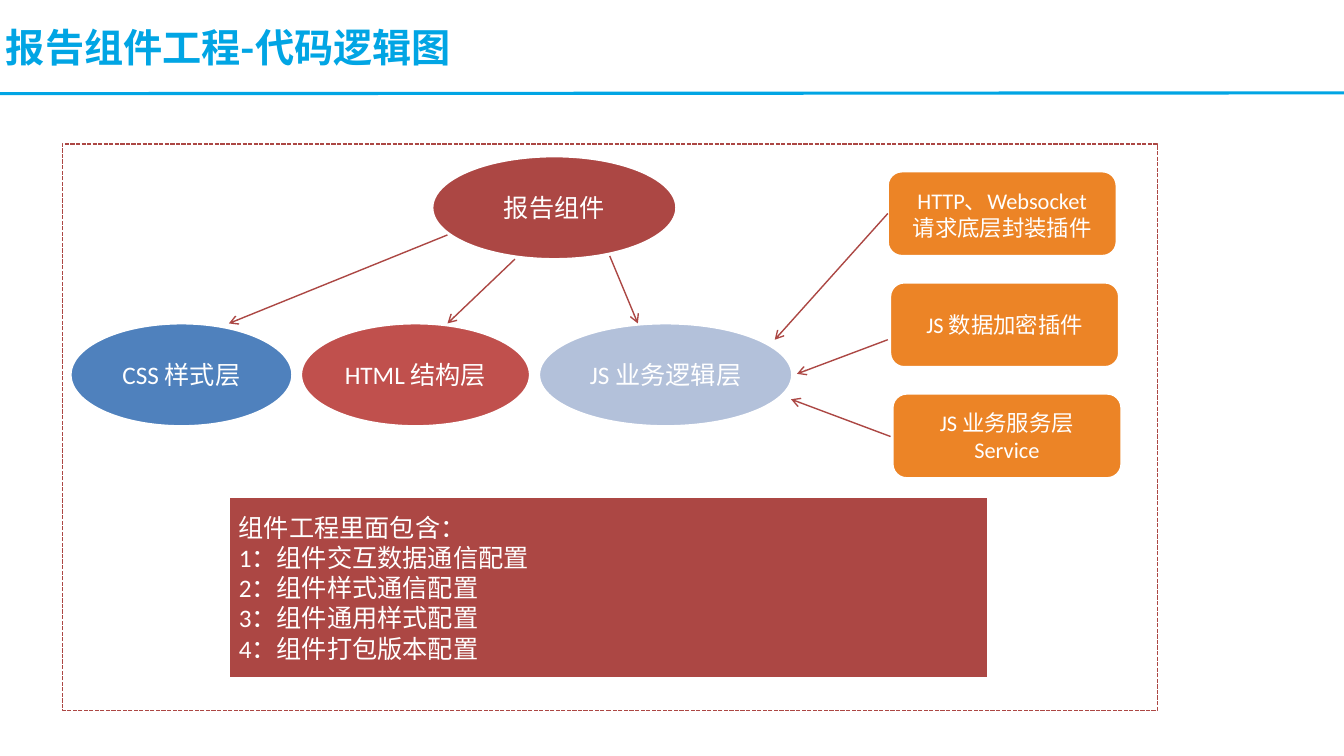
from pptx import Presentation, util as u
from pptx.dml.color import RGBColor
from pptx.enum import dml, shapes, text
from pptx.oxml.ns import qn
from lxml import etree

WHITE, BRICK, SKY, ORANGE = "FFFFFF", "AC4744", "01A5E4", "EC8426"
LATIN, HAN = "Calibri", "Noto Sans CJK SC"
OVAL = shapes.MSO_SHAPE.OVAL
RECT = shapes.MSO_SHAPE.RECTANGLE
ROUND = shapes.MSO_SHAPE.ROUNDED_RECTANGLE
LEFT, CENTER = text.PP_ALIGN.LEFT, text.PP_ALIGN.CENTER


def paint(fmt, color):
    fmt.solid()
    fmt.fore_color.rgb = RGBColor.from_string(color)


def stroke(line, color, width):
    paint(line.fill, color)
    line.width = u.Pt(width)


def place(shape, box):
    shape.left, shape.top, shape.width, shape.height = map(u.Cm, box)


def write(frame, lines, size, color=WHITE, align=CENTER, font=LATIN, bold=False):
    frame.word_wrap = True
    frame.auto_size = text.MSO_AUTO_SIZE.NONE
    frame.vertical_anchor = text.MSO_ANCHOR.MIDDLE
    for i, line in enumerate(lines):
        para = frame.add_paragraph() if i else frame.paragraphs[0]
        para.alignment = align
        run = para.add_run()
        run.text = line
        run.font.size = u.Pt(size)
        run.font.bold = bold
        run.font.name = font
        run.font.color.rgb = RGBColor.from_string(color)
        east = etree.SubElement(run._r.get_or_add_rPr(), qn("a:ea"))
        east.set("typeface", HAN)


def add_title(slide, words):
    title = slide.shapes.title
    place(title, (0.15, 0, 30.99, 2.36))
    frame = title.text_frame
    frame.margin_left = frame.margin_right = 0
    frame.margin_top = frame.margin_bottom = 0
    write(frame, [words], 28, SKY, LEFT, HAN, True)


def add_box(slide, kind, box, fill, edge=WHITE, width=1.5):
    shape = slide.shapes.add_shape(kind, *map(u.Cm, box))
    shape.shadow.inherit = False
    paint(shape.fill, fill)
    stroke(shape.line, edge, width)
    return shape


def add_node(slide, kind, box, fill, lines, size=18, align=CENTER):
    node = add_box(slide, kind, box, fill)
    write(node.text_frame, lines, size, align=align)


def add_line(slide, ends, color, width):
    link = slide.shapes.add_connector(
        shapes.MSO_CONNECTOR.STRAIGHT, *map(u.Cm, ends))
    stroke(link.line, color, width)
    etree.SubElement(link._element.spPr, qn("a:effectLst"))
    return link


def add_arrow(slide, ends):
    link = add_line(slide, ends, BRICK, 1)
    tip = etree.SubElement(link.line._get_or_add_ln(), qn("a:tailEnd"))
    tip.set("type", "arrow")


def main():
    deck = Presentation()
    deck.slide_width, deck.slide_height = u.Cm(33.88), u.Cm(19.05)
    slide = deck.slides.add_slide(deck.slide_layouts.get_by_name("Title Only"))

    add_line(slide, (-0.1, 2.36, 33.93, 2.34), SKY, 2.25)
    add_title(slide, "报告组件工程-代码逻辑图")
    border = add_box(slide, RECT, (1.57, 3.63, 27.61, 14.27), WHITE, BRICK, 1)
    border.line.dash_style = dml.MSO_LINE.SQUARE_DOT

    add_node(slide, OVAL, (10.9, 3.94, 6.15, 2.59), BRICK, ["报告组件"])
    layers = [
        (1.78, 5.59, "4F81BD", "CSS 样式层"),
        (7.59, 5.77, "C0504D", "HTML 结构层"),
        (13.59, 6.38, "B3C1DA", "JS 业务逻辑层"),
    ]
    for left, width, fill, name in layers:
        add_node(slide, OVAL, (left, 8.15, width, 2.59), fill, [name])

    plugins = [
        ["HTTP、Websocket", "请求底层封装插件"],
        ["JS 数据加密插件"],
        ["JS 业务服务层 Service"],
    ]
    for i, lines in enumerate(plugins):
        box = (22.38 + 0.06 * i, 4.32 + 2.8 * i, 5.77, 2.13)
        add_node(slide, ROUND, box, ORANGE, lines, 16)

    parts = ["组件交互数据通信配置", "组件样式通信配置",
             "组件通用样式配置", "组件打包版本配置"]
    notes = ["组件工程里面包含："]
    notes += [f"{i}：{part}" for i, part in enumerate(parts, 1)]
    add_node(slide, RECT, (5.77, 12.52, 19.13, 4.57), BRICK, notes, align=LEFT)

    arrows = [
        (11.28, 5.92, 5.77, 8.15),
        (12.98, 6.53, 11.28, 8.15),
        (15.37, 6.45, 16.08, 8.15),
        (22.38, 5.38, 19.53, 8.56),
        (22.38, 8.56, 20.09, 9.42),
        (22.45, 11, 19.94, 10.06),
    ]
    for ends in arrows:
        add_arrow(slide, ends)

    deck.save("out.pptx")


main()
